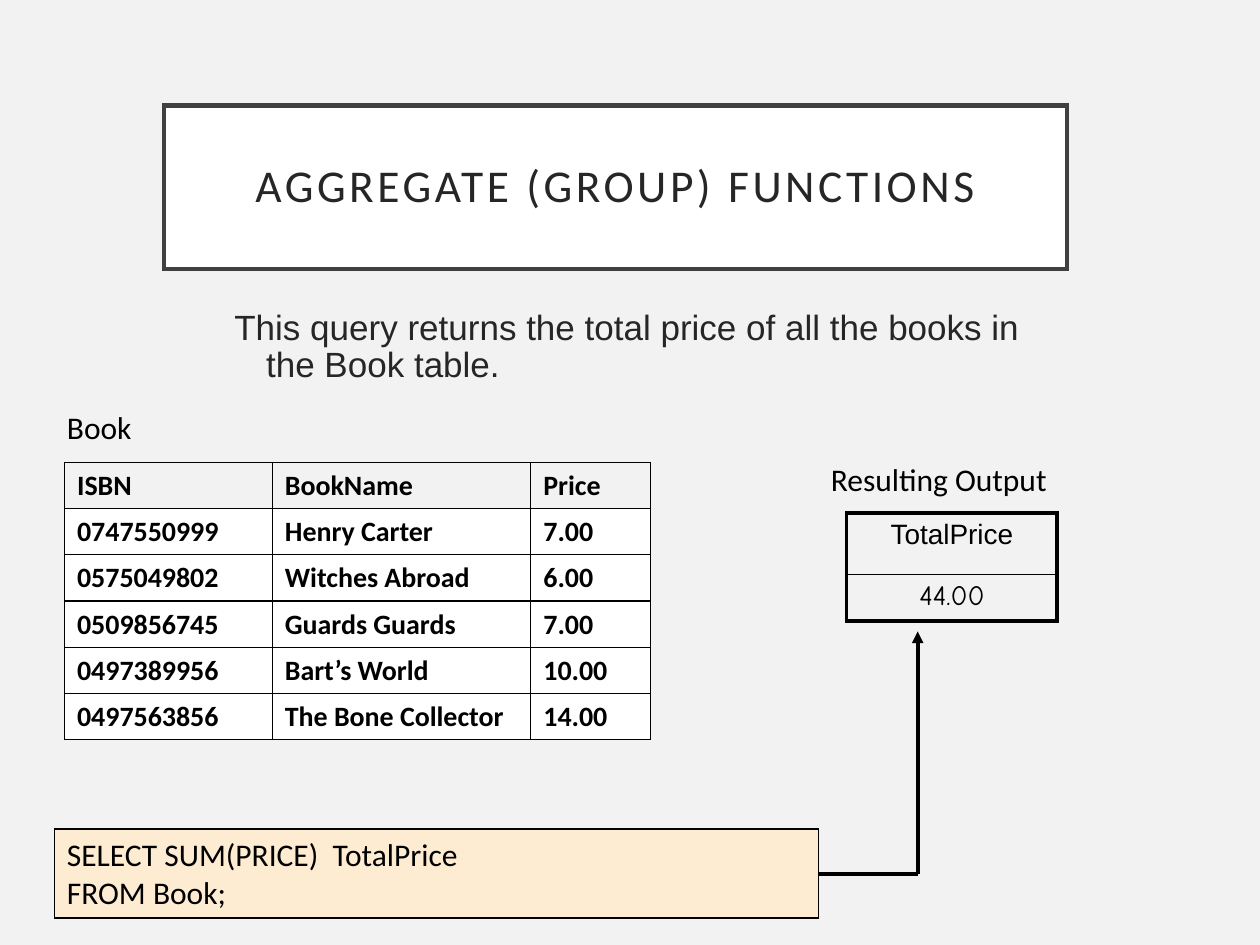
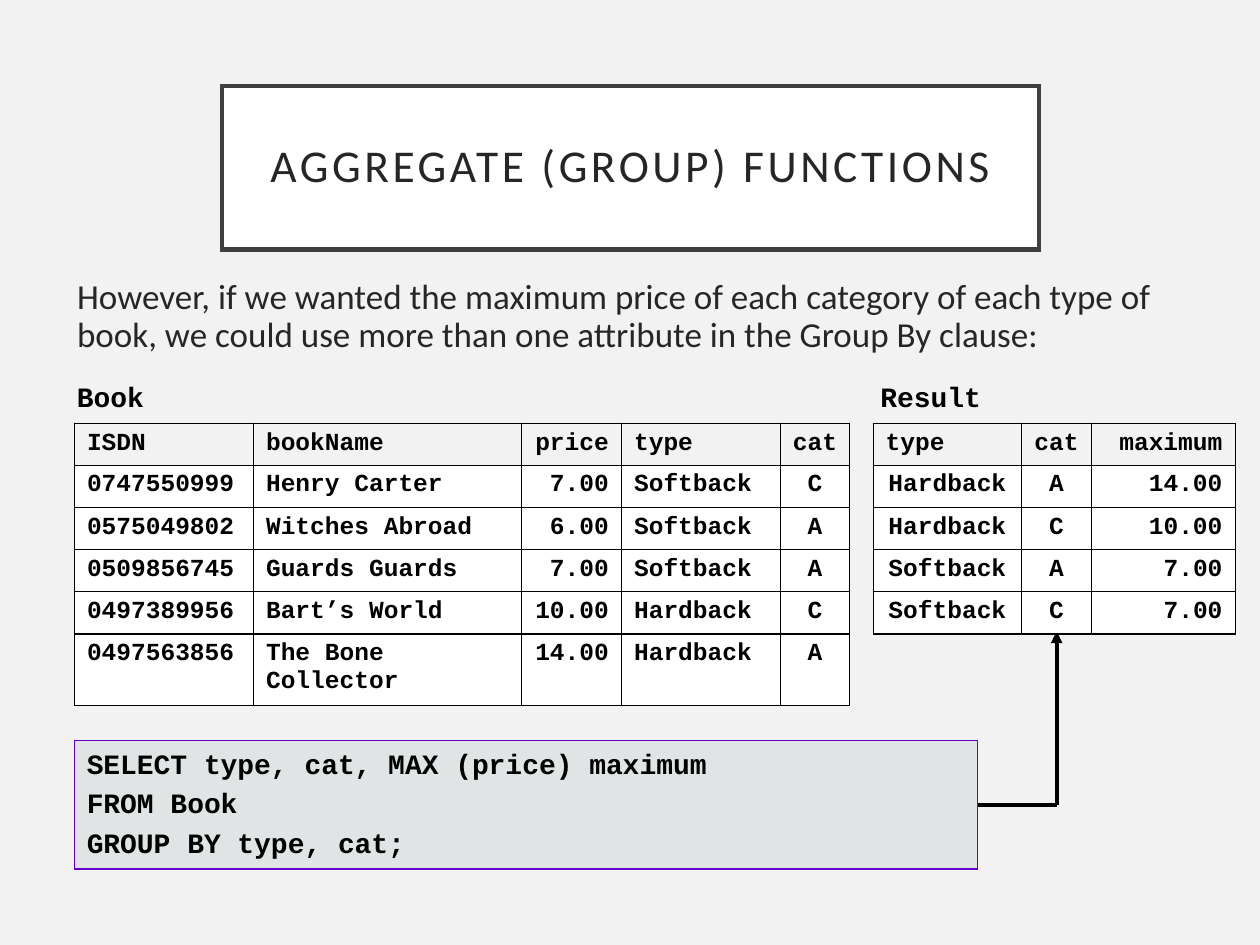
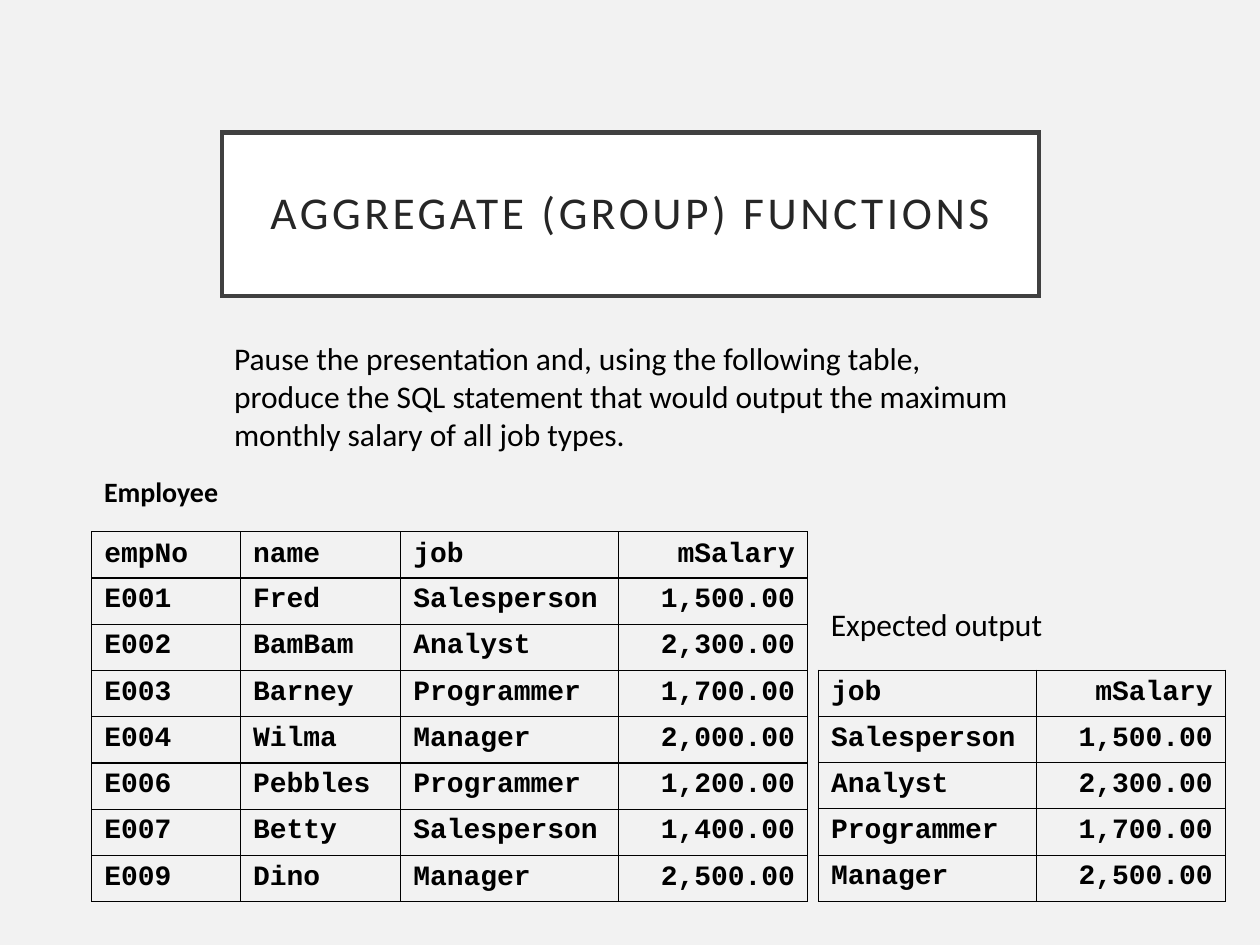
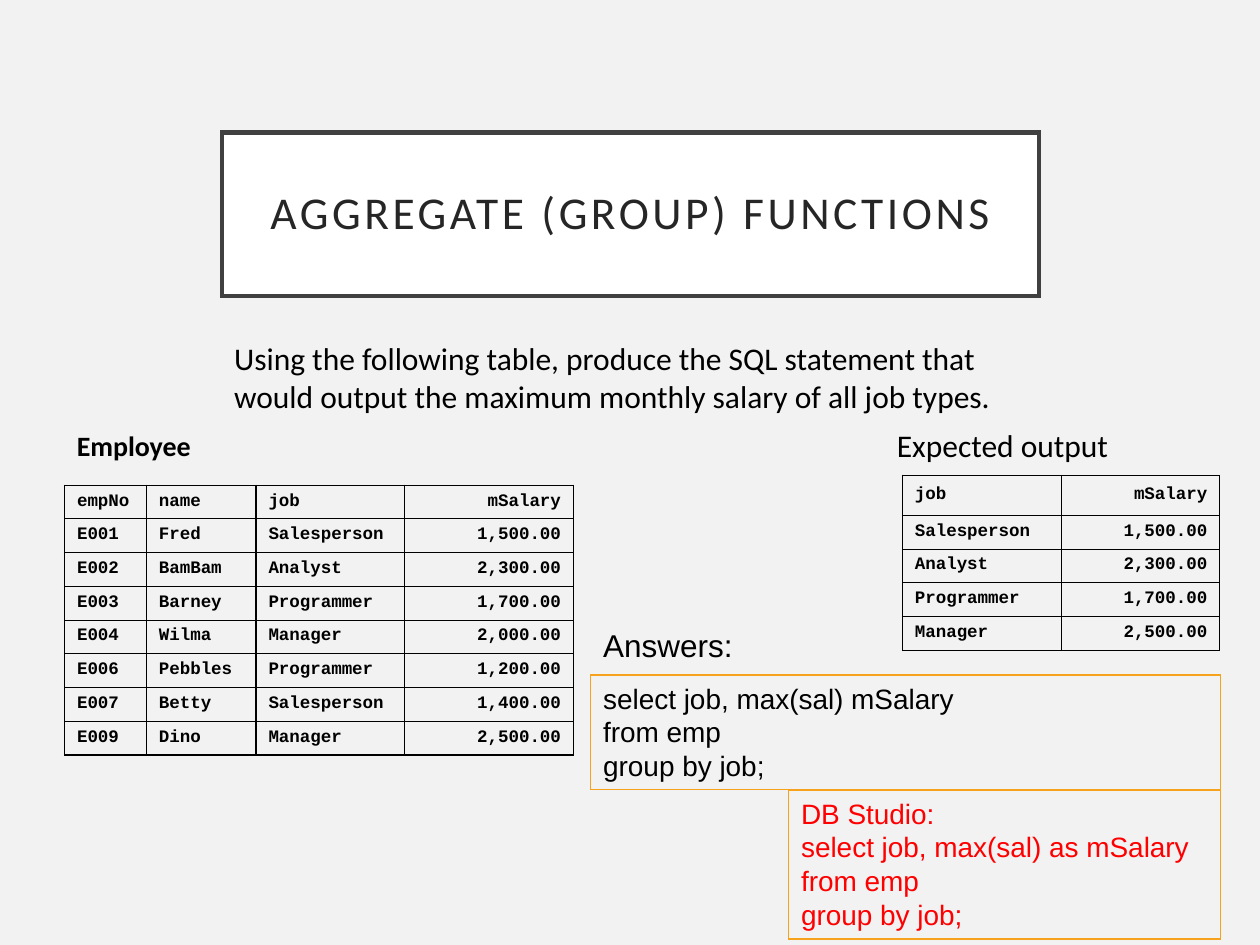
"""Build four slides on SQL aggregate functions with their tables and queries."""
import collections

import lxml.etree
import pptx
import pptx.dml.color
import pptx.enum.shapes
import pptx.enum.text
import pptx.oxml.ns
import pptx.util

Cm = pptx.util.Cm
Pt = pptx.util.Pt
qn = pptx.oxml.ns.qn
Anchor = pptx.enum.text.MSO_ANCHOR
AutoSize = pptx.enum.text.MSO_AUTO_SIZE
Align = pptx.enum.text.PP_ALIGN
Style = collections.namedtuple("Style", "font size color bold", defaults=("000000", False))

BACKGROUND = "F2F2F2"
WHITE = "FFFFFF"
BLACK = "000000"
FRAME = "404040"
INK = "262626"
AMBER = "F6A21D"

TITLE = "AGGREGATE (GROUP) FUNCTIONS"
TITLE_STYLE = Style("Calibri", 26, INK)
PLAIN = Style("Calibri", 18)
STRONG = Style("Calibri", 16, bold=True)
CODE = Style("Courier New", 16, bold=True)
CODE_MEDIUM = CODE._replace(size=14)
CODE_SMALL = CODE._replace(size=10)
ANSWER = Style("Arial", 16)

ALIGNMENTS = {"l": Align.LEFT, "c": Align.CENTER, "r": Align.RIGHT}

BOOKS = [
    ["0747550999", "Henry Carter", "7.00"],
    ["0575049802", "Witches Abroad", "6.00"],
    ["0509856745", "Guards Guards", "7.00"],
    ["0497389956", "Bart’s World", "10.00"],
    ["0497563856", "The Bone Collector", "14.00"],
]
BOOK_KINDS = [["Softback", "C"], ["Softback", "A"], ["Softback", "A"],
              ["Hardback", "C"], ["Hardback", "A"]]
MAXIMUMS = [
    ["type", "cat", "maximum"],
    ["Hardback", "A", "14.00"],
    ["Hardback", "C", "10.00"],
    ["Softback", "A", "7.00"],
    ["Softback", "C", "7.00"],
]
EMPLOYEES = [
    ["empNo", "name", "job", "mSalary"],
    ["E001", "Fred", "Salesperson", "1,500.00"],
    ["E002", "BamBam", "Analyst", "2,300.00"],
    ["E003", "Barney", "Programmer", "1,700.00"],
    ["E004", "Wilma", "Manager", "2,000.00"],
    ["E006", "Pebbles", "Programmer", "1,200.00"],
    ["E007", "Betty", "Salesperson", "1,400.00"],
    ["E009", "Dino", "Manager", "2,500.00"],
]
JOB_SALARIES = [
    ["job", "mSalary"],
    ["Salesperson", "1,500.00"],
    ["Analyst", "2,300.00"],
    ["Programmer", "1,700.00"],
    ["Manager", "2,500.00"],
]


def rgb(color):
    """Turn a hex string into a colour."""
    return pptx.dml.color.RGBColor.from_string(color)


def place(shape, left, top, width, height):
    """Move and size a shape, in centimetres."""
    shape.left, shape.top = Cm(left), Cm(top)
    shape.width, shape.height = Cm(width), Cm(height)


def paint(shape, fill, line, width):
    """Set the fill and the sharp-cornered outline of a shape."""
    if fill:
        shape.fill.solid()
        shape.fill.fore_color.rgb = rgb(fill)
    else:
        shape.fill.background()
    shape.line.color.rgb = rgb(line)
    shape.line.width = Pt(width)
    outline = shape.element.spPr.find(qn("a:ln"))
    lxml.etree.SubElement(outline, qn("a:miter"), lim="800000")


def add_span(para, text, style):
    """Add one formatted run to a paragraph."""
    span = para.add_run()
    span.text = text
    span.font.name = style.font
    span.font.size = Pt(style.size)
    span.font.bold = style.bold
    span.font.color.rgb = rgb(style.color)
    return span


def write_lines(frame, lines, style, gap=0):
    """Write one left-aligned paragraph for each line."""
    for index, line in enumerate(lines):
        para = frame.add_paragraph() if index else frame.paragraphs[0]
        para.alignment = Align.LEFT
        if index:
            para.space_before = Pt(gap)
        add_span(para, line, style)


def add_titled_slide(deck, layout, left, top, width):
    """Add a slide with the framed title."""
    slide = deck.slides.add_slide(deck.slide_layouts.get_by_name(layout))
    title = slide.shapes.title
    place(title, left, top, width, 3.3)
    paint(title, WHITE, FRAME, 2.5)
    frame = title.text_frame
    frame.auto_size = AutoSize.NONE
    frame.vertical_anchor = Anchor.MIDDLE
    frame.margin_left = frame.margin_right = Cm(0.5)
    frame.margin_top = frame.margin_bottom = Cm(0.5)
    para = frame.paragraphs[0]
    para.alignment = Align.CENTER
    para.line_spacing = 0.9
    span = add_span(para, TITLE, TITLE_STYLE)
    span.font._element.set("spc", "200")
    return slide


def fill_body(slide, text, font, bounds, hanging=0):
    """Write an unbulleted paragraph in the body placeholder."""
    body = slide.placeholders[1]
    place(body, *bounds)
    body.text_frame.auto_size = AutoSize.NONE
    para = body.text_frame.paragraphs[0]
    properties = para._p.get_or_add_pPr()
    properties.set("marL", str(Cm(hanging)))
    properties.set("indent", str(-Cm(hanging)))
    lxml.etree.SubElement(properties, qn("a:buNone"))
    para.line_spacing = 0.9
    para.space_before = Pt(0)
    add_span(para, text, Style(font, 20, INK))


def add_label(slide, text, style, left, top, width, height=1.02, wrap=True):
    """Add a plain text box."""
    box = slide.shapes.add_textbox(Cm(left), Cm(top), Cm(width), Cm(height))
    box.text_frame.word_wrap = wrap
    box.text_frame.auto_size = AutoSize.SHAPE_TO_FIT_TEXT
    write_lines(box.text_frame, [text], style)


def add_query(slide, lines, style, bounds, fill=None, line=BLACK, opacity=100, gap=0):
    """Add an outlined box that holds a query."""
    rectangle = pptx.enum.shapes.MSO_SHAPE.RECTANGLE
    box = slide.shapes.add_shape(rectangle, *[Cm(length) for length in bounds])
    box.shadow.inherit = False
    paint(box, fill, line, 0.75)
    if opacity < 100:
        color = box.element.spPr.find(qn("a:solidFill")).find(qn("a:srgbClr"))
        lxml.etree.SubElement(color, qn("a:alpha"), val=str(opacity * 1000))
    frame = box.text_frame
    frame.word_wrap = True
    frame.auto_size = AutoSize.SHAPE_TO_FIT_TEXT
    frame.vertical_anchor = Anchor.TOP
    write_lines(frame, lines, style, gap)
    return box


def add_line(slide, start, end, arrow=False):
    """Add a thick straight connector, with an arrowhead if wanted."""
    straight = pptx.enum.shapes.MSO_CONNECTOR.STRAIGHT
    line = slide.shapes.add_connector(straight, *start, *end)
    line.line.color.rgb = rgb(BLACK)
    line.line.width = Pt(2.25)
    properties = line.element.spPr
    if arrow:
        lxml.etree.SubElement(properties.find(qn("a:ln")), qn("a:tailEnd"), type="triangle")
    lxml.etree.SubElement(properties, qn("a:effectLst"))
    return line


def link_query(slide, box, turn, tip):
    """Lead from a query box rightwards and then up to its result."""
    middle = box.top + box.height // 2
    corner = (Cm(turn), middle)
    stem = add_line(slide, (box.left + box.width, middle), corner)
    stem.begin_connect(box, 3)
    add_line(slide, corner, (Cm(turn), Cm(tip)), arrow=True)


def set_borders(cell, **widths):
    """Draw the four cell borders, given in points as L, R, T and B."""
    properties = cell._tc.get_or_add_tcPr()
    for side in "LRTB":
        border = lxml.etree.SubElement(
            properties, qn("a:ln" + side), w=str(Pt(widths[side])))
        fill = lxml.etree.SubElement(border, qn("a:solidFill"))
        lxml.etree.SubElement(fill, qn("a:srgbClr"), val=BLACK)


def new_table(slide, left, top, widths, heights):
    """Add an unstyled table with the given column widths and row heights."""
    table = slide.shapes.add_table(
        len(heights), len(widths), Cm(left), Cm(top),
        Cm(sum(widths)), Cm(sum(heights))).table
    table.first_row = table.horz_banding = False
    for column, width in zip(table.columns, widths):
        column.width = Cm(width)
    for row, height in zip(table.rows, heights):
        row.height = Cm(height)
    return table


def write_cell(cell, text, style, align, fill=None):
    """Write and fill one table cell."""
    if fill:
        cell.fill.solid()
        cell.fill.fore_color.rgb = rgb(fill)
    else:
        cell.fill.background()
    para = cell.text_frame.paragraphs[0]
    para.alignment = ALIGNMENTS[align]
    add_span(para, text, style)


def add_grid(slide, left, top, widths, heights, rows, style, aligns,
             header_aligns=None, fill=None):
    """Add a data table with thin borders and a clear header row."""
    table = new_table(slide, left, top, widths, heights)
    for row_index, texts in enumerate(rows):
        header = row_index == 0
        row_aligns = header_aligns if header and header_aligns else aligns
        for column_index, text in enumerate(texts):
            cell = table.cell(row_index, column_index)
            set_borders(cell, L=0.75, R=0.75, T=0.75, B=0.75)
            write_cell(cell, text, style, row_aligns[column_index], None if header else fill)
            cell.vertical_anchor = Anchor.MIDDLE if header else Anchor.TOP


def add_total(slide, left, top):
    """Add the heavy-framed table that shows the total price."""
    table = new_table(slide, left, top, [4.24], [1.24, 0.94])
    header, total = table.cell(0, 0), table.cell(1, 0)
    set_borders(header, L=2.25, R=2.25, T=2.25, B=1)
    set_borders(total, L=2.25, R=2.25, T=1, B=2.25)
    write_cell(header, "TotalPrice", ANSWER, "c")
    write_cell(total, "44.00", Style("Comic Neue", 16), "c")


def build_sum_slide(deck):
    """Show the total price of all books."""
    slide = add_titled_slide(deck, "Title and Content", 3.3, 2.13, 18.21)
    fill_body(slide, "This query returns the total price of all the books in the Book table.",
              "Arial", (4.47, 6.12, 16.48, 1.8), hanging=0.64)
    query = add_query(slide, ["SELECT SUM(PRICE)  TotalPrice", "FROM Book;"], PLAIN,
                      (1.1, 16.71, 15.4, 1.8), fill="FDECD2")
    link_query(slide, query, 18.5, 12.73)
    add_label(slide, "Book", PLAIN, 1.1, 8.1, 7.4)
    add_label(slide, "Resulting Output", PLAIN, 16.5, 9.14, 7.4)
    add_total(slide, 17.07, 10.34)
    add_grid(slide, 1.3, 9.32, [4.19, 5.21, 2.41], [0.93] * 6,
             [["ISBN", "BookName", "Price"]] + BOOKS, STRONG, "lll", fill=WHITE)


def build_group_slide(deck):
    """Show the maximum price by type and category."""
    slide = add_titled_slide(deck, "Title and Content", 4.47, 1.73, 16.48)
    fill_body(slide, "However, if we wanted the maximum price of each category of each type of "
              "book, we could use more than one attribute in the Group By clause:",
              "Calibri", (1.3, 5.51, 23.62, 2.39))
    query = add_query(slide, ["SELECT type, cat, MAX (price) maximum", "FROM Book",
                              "GROUP BY type, cat;"], CODE, (1.5, 14.93, 18.21, 2.59),
                      fill="9BAFB5", line="6600CC", opacity=20, gap=3.2)
    link_query(slide, query, 21.3, 12.73)
    books = [["ISDN", "bookName", "price", "type", "cat"]]
    books += [book + kind for book, kind in zip(BOOKS, BOOK_KINDS)]
    add_label(slide, "Book", CODE, 1.3, 7.52, 7.4, 0.94)
    add_grid(slide, 1.5, 8.53, [3.61, 5.41, 2.01, 3.2, 1.4], [0.85] * 5 + [1.42],
             books, CODE_MEDIUM, "llrlc", fill=WHITE)
    add_label(slide, "Result", CODE, 17.5, 7.52, 3, 0.94)
    add_grid(slide, 17.6, 8.53, [3, 1.4, 2.9], [0.85] * 5, MAXIMUMS, CODE_MEDIUM,
             "ccr", header_aligns="llr", fill=WHITE)


def build_exercise_slide(deck):
    """Set the salary exercise."""
    slide = add_titled_slide(deck, "Title Only", 4.47, 2.67, 16.48)
    add_label(slide, "Pause the presentation and, using the following table, produce the SQL "
              "statement that would output the maximum monthly salary of all job types.",
              PLAIN, 4.47, 6.71, 16.48, 2.57)
    add_label(slide, "Employee", STRONG, 1.85, 9.45, 3.6, 0.94)
    add_grid(slide, 1.85, 10.72, [3, 3.23, 4.39, 3.81], [0.93] * 8, EMPLOYEES, CODE, "lllr")
    add_grid(slide, 16.5, 13.51, [4.39, 3.81], [0.93] * 5, JOB_SALARIES, CODE, "lr")
    add_label(slide, "Expected output", PLAIN, 16.5, 12.07, 4.83, wrap=False)


def build_answer_slide(deck):
    """Answer the salary exercise."""
    slide = add_titled_slide(deck, "Title Only", 4.47, 2.67, 16.48)
    add_label(slide, "Using the following table, produce the SQL statement that would output "
              "the maximum monthly salary of all job types.", PLAIN, 4.47, 6.71, 16.48, 1.8)
    add_label(slide, "Employee", STRONG, 1.3, 8.51, 3.6, 0.94)
    add_grid(slide, 1.3, 9.78, [1.65, 2.21, 3, 3.4], [0.68] * 8, EMPLOYEES, CODE_SMALL, "lllr")
    add_grid(slide, 18.19, 9.58, [3.2, 3.2], [0.81] + [0.68] * 4, JOB_SALARIES,
             CODE_SMALL, "lr")
    add_label(slide, "Expected output", PLAIN, 17.83, 8.46, 4.83, wrap=False)
    add_query(slide, ["select job, max(sal) mSalary", "from emp", "group by job;"], ANSWER,
              (11.91, 13.61, 12.7, 2.31), line=AMBER)
    add_query(slide, ["DB Studio:", "select job, max(sal) as mSalary", "from emp",
                      "group by job;"], ANSWER._replace(color="FF0000"),
              (15.9, 15.93, 8.7, 3), line=AMBER)
    add_label(slide, "Answers:", Style("Arial", 18), 11.91, 12.5, 4.4)


def main():
    """Build and save the deck."""
    deck = pptx.Presentation()
    deck.slide_width, deck.slide_height = Cm(25.4), Cm(19.05)
    background = deck.slide_master.background.fill
    background.solid()
    background.fore_color.rgb = rgb(BACKGROUND)
    build_sum_slide(deck)
    build_group_slide(deck)
    build_exercise_slide(deck)
    build_answer_slide(deck)
    deck.save("out.pptx")


if __name__ == "__main__":
    main()
